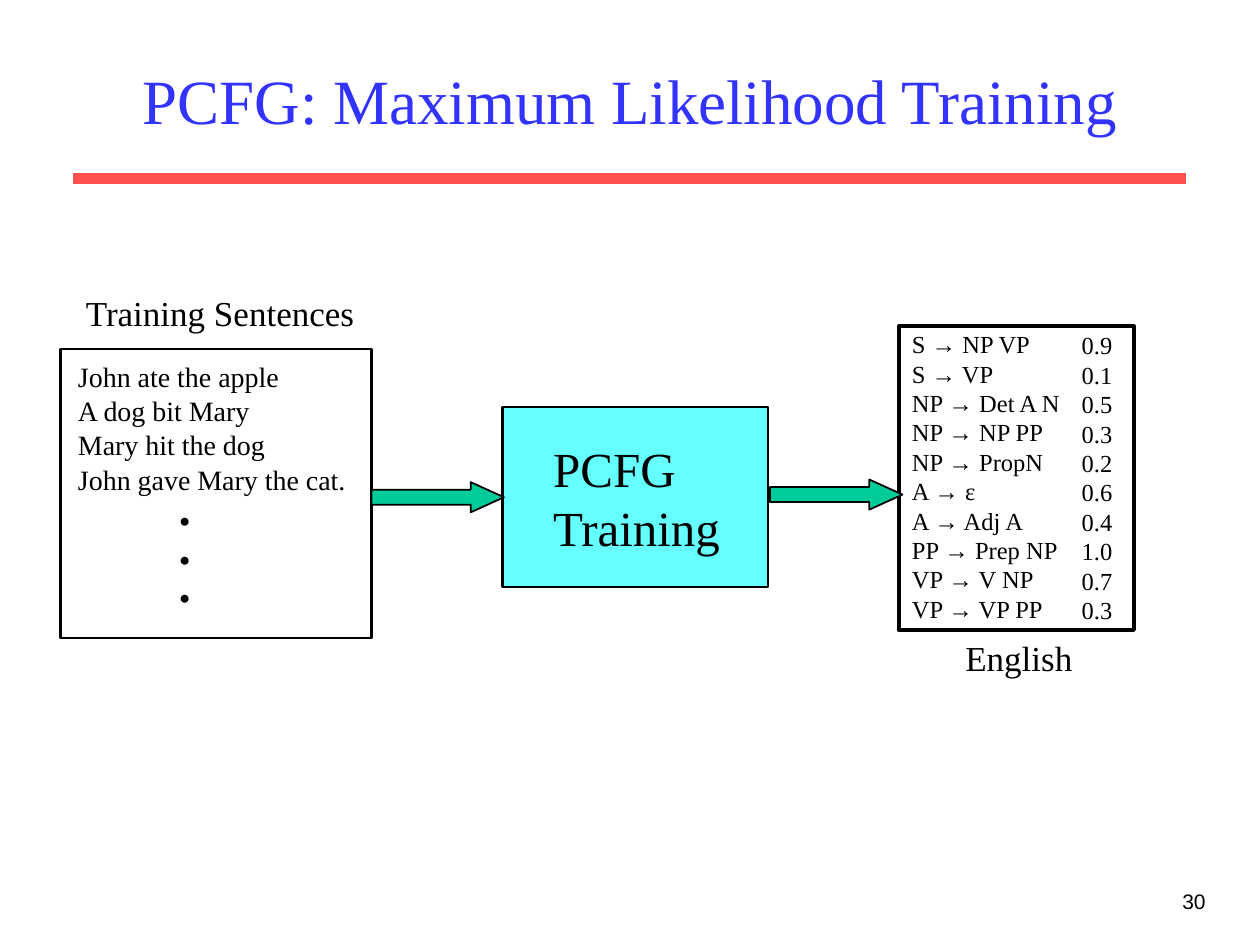
from pptx import Presentation
from pptx.dml.color import RGBColor
from pptx.enum.shapes import MSO_CONNECTOR, MSO_SHAPE
from pptx.enum.text import MSO_ANCHOR, PP_ALIGN
from pptx.oxml.ns import qn
from pptx.util import Pt
from lxml import etree

LEFT, CENTER, RIGHT = PP_ALIGN.LEFT, PP_ALIGN.CENTER, PP_ALIGN.RIGHT
TOP, MIDDLE = MSO_ANCHOR.TOP, MSO_ANCHOR.MIDDLE
RECT, ARROW = MSO_SHAPE.RECTANGLE, MSO_SHAPE.RIGHT_ARROW
STRAIGHT = MSO_CONNECTOR.STRAIGHT
SERIF, SANS = "Times New Roman", "Arial"
BLACK, BLUE, RED, CYAN, GREEN = "000000", "3333FF", "FF5050", "66FFFF", "00CC99"

prs = Presentation()
prs.slide_width, prs.slide_height = Pt(720), Pt(540)
slide = prs.slides.add_slide(prs.slide_layouts[6])


def add_text(lines, at, size, color=BLACK, font=SERIF, bold=False, align=LEFT,
             anchor=TOP, wrap=False, spacing=1.0, before=0):
    box = slide.shapes.add_textbox(*map(Pt, at))
    frame = box.text_frame
    frame.word_wrap, frame.vertical_anchor = wrap, anchor
    frame.text = "\n".join(lines)
    for i, paragraph in enumerate(frame.paragraphs):
        paragraph.alignment, paragraph.line_spacing = align, spacing
        paragraph.space_before = Pt(before if i else 0)
        for key, value in {"size": Pt(size), "name": font, "bold": bold}.items():
            setattr(paragraph.font, key, value)
        paragraph.font.color.rgb = RGBColor.from_string(color)


def add_block(kind, at, line_width, fill=None):
    block = slide.shapes.add_shape(kind, *map(Pt, at))
    block.shadow.inherit = False
    if fill:
        block.fill.solid()
        block.fill.fore_color.rgb = RGBColor.from_string(fill)
    else:
        block.fill.background()
    block.line.color.rgb = RGBColor.from_string(BLACK)
    block.line.width = Pt(line_width)
    return block


# Title, rule below it and page number
title_rule = slide.shapes.add_connector(STRAIGHT, Pt(42), Pt(102), Pt(678), Pt(102))
title_rule.line.color.rgb = RGBColor.from_string(RED)
title_rule.line.width = Pt(6)
etree.SubElement(title_rule._element.spPr, qn("a:effectLst"))
add_text(["30"], (546, 504, 150, 36), 12, font=SANS, align=RIGHT, wrap=True)
add_text(["PCFG: Maximum Likelihood Training"], (54, 18, 612, 78), 36, BLUE,
         align=CENTER, anchor=MIDDLE, wrap=True)

# Training sentences
sentences = ["John ate the apple", "A dog bit Mary", "Mary hit the dog",
             "John gave Mary the cat."]
add_text(sentences, (37.5, 210, 169, 115), 16, wrap=True, spacing=0.5, before=10)
add_text(["."] * 3, (95, 279.5, 21, 73), 28, bold=True, spacing=0.65)
add_block(RECT, (34.5, 199.5, 178, 165), 1.5)
add_text(["Training Sentences"], (42, 163, 168.5, 31.5), 20)

# Training step
add_block(RECT, (287, 232.5, 152, 103), 1.5, CYAN)
add_text(["PCFG", "Training"], (309, 247, 110, 75), 28)

# Learned grammar: rules with their probabilities
grammar = [
    ("S → NP VP", "0.9"),
    ("S → VP", "0.1"),
    ("NP → Det A N", "0.5"),
    ("NP → NP PP", "0.3"),
    ("NP → PropN", "0.2"),
    ("A → ε", "0.6"),
    ("A → Adj A", "0.4"),
    ("PP → Prep NP", "1.0"),
    ("VP → V NP", "0.7"),
    ("VP → VP PP", "0.3"),
]
rules, probabilities = zip(*grammar)
add_text(rules, (514, 184.5, 101, 175.5), 14)
add_text(probabilities, (611, 185.25, 32, 175.5), 14)
add_block(RECT, (513.5, 186.5, 134.5, 173.5), 2.25)
add_text(["English"], (544.5, 360, 75.5, 31.5), 20)

# Arrows into and out of the training step
for left, top in [(212.25, 275.5), (440, 274)]:
    flow = add_block(ARROW, (left, top, 75.75, 17.25), 1, GREEN)
    flow.adjustments[0], flow.adjustments[1] = 0.5, 1.1

prs.save("out.pptx")
